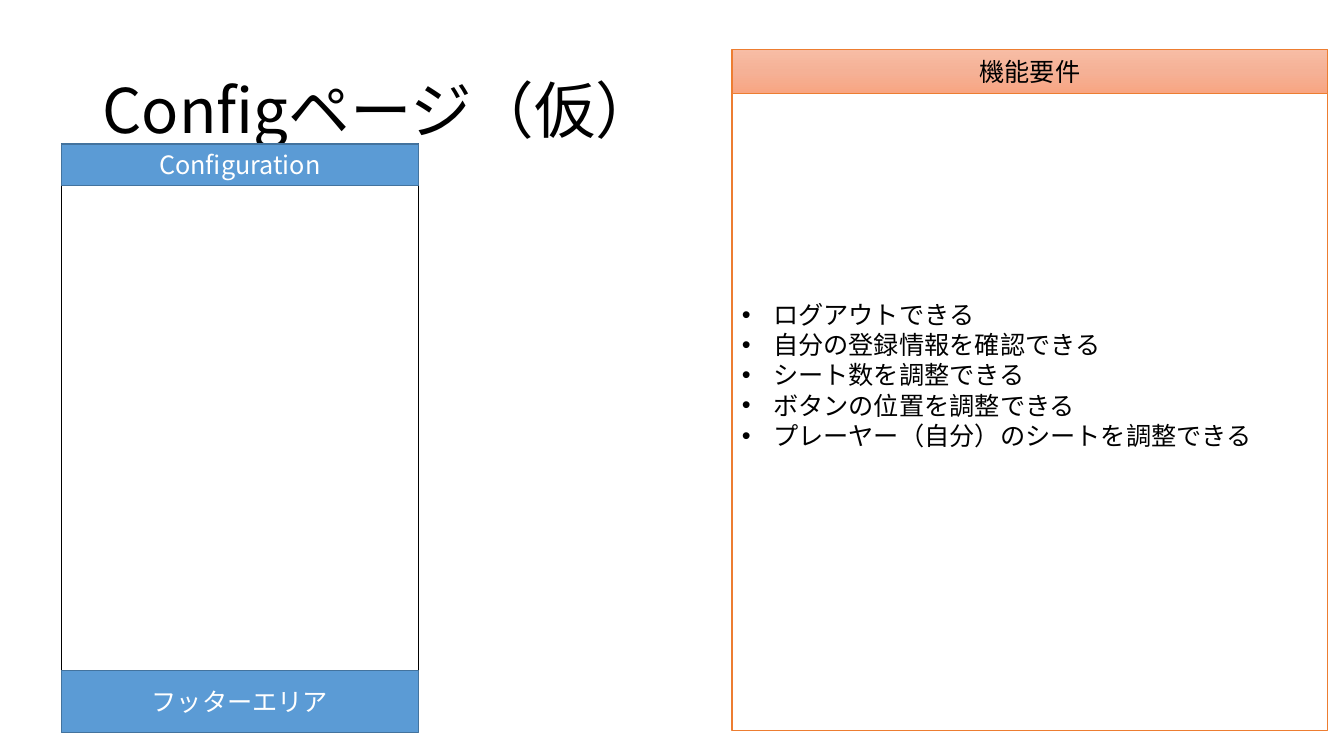
from lxml import etree
from pptx import Presentation
from pptx.dml.color import RGBColor
from pptx.enum.shapes import MSO_SHAPE
from pptx.enum.text import MSO_ANCHOR, PP_ALIGN
from pptx.oxml.ns import qn
from pptx.util import Inches, Pt

RECTANGLE = MSO_SHAPE.RECTANGLE
MIDDLE = MSO_ANCHOR.MIDDLE
LEFT, CENTER = PP_ALIGN.LEFT, PP_ALIGN.CENTER

FONT = "Noto Sans CJK JP"
BLACK, WHITE = "000000", "FFFFFF"
BLUE, DARK_BLUE, ORANGE = "5B9BD5", "43739E", "ED7D31"
HEADING_GRADIENT = [(0, "F7BDA5"), (50, "F5B196"), (100, "F8A582")]
BULLET_INDENT = 0.31
EMPTY_LAST_LINE = 0.3

REQUIREMENTS = [
    "ログアウトできる",
    "自分の登録情報を確認できる",
    "シート数を調整できる",
    "ボタンの位置を調整できる",
    "プレーヤー（自分）のシートを調整できる",
]


def color(value):
    return RGBColor.from_string(value)


def set_attributes(target, values):
    for name, value in values.items():
        setattr(target, name, value)


def write_lines(shape, lines, size=18, text_color=BLACK, align=CENTER, **paragraph_format):
    """Fill a shape's text frame with one paragraph per line."""
    frame = shape.text_frame
    set_attributes(frame, {"word_wrap": True, "vertical_anchor": MIDDLE})
    frame.text = "\n".join(lines)
    for paragraph in frame.paragraphs:
        set_attributes(paragraph, {"alignment": align, **paragraph_format})
        for run in paragraph.runs:
            set_attributes(run.font, {"name": FONT, "size": Pt(size)})
            run.font.color.rgb = color(text_color)
            east_asian = etree.SubElement(run.font._element, qn("a:ea"))
            east_asian.set("typeface", FONT)


def add_box(slide, box, fill, line, line_width=1):
    shape = slide.shapes.add_shape(RECTANGLE, *map(Inches, box))
    shape.shadow.inherit = False
    shape.fill.solid()
    shape.fill.fore_color.rgb = color(fill)
    shape.line.color.rgb = color(line)
    shape.line.width = Pt(line_width)
    return shape


def apply_vertical_gradient(shape, stops):
    """Replace the solid fill with a top-to-bottom gradient."""
    gradient = etree.Element(qn("a:gradFill"), rotWithShape="1")
    stop_list = etree.SubElement(gradient, qn("a:gsLst"))
    for position, value in stops:
        stop = etree.SubElement(stop_list, qn("a:gs"), pos=str(position * 1000))
        etree.SubElement(stop, qn("a:srgbClr"), val=value)
    etree.SubElement(gradient, qn("a:lin"), ang="5400000", scaled="0")
    properties = shape._element.spPr
    properties.replace(properties.find(qn("a:solidFill")), gradient)


def add_bullets(shape):
    indent = Inches(BULLET_INDENT)
    for paragraph in shape.text_frame.paragraphs:
        properties = paragraph._p.get_or_add_pPr()
        properties.set("marL", str(indent))
        properties.set("indent", str(-indent))
        font = etree.SubElement(properties, qn("a:buFont"))
        font.set("typeface", "Arial")
        etree.SubElement(properties, qn("a:buChar")).set("char", "•")


def add_title(slide, box):
    title = slide.shapes.add_textbox(*map(Inches, box))
    write_lines(title, ["Configページ（仮）"], size=44, align=LEFT, line_spacing=0.9)


def add_requirements_panel(slide, box, heading_height):
    left, top, width, height = box
    body = add_box(slide, box, WHITE, ORANGE)
    write_lines(body, REQUIREMENTS, align=LEFT)
    add_bullets(body)
    # Lift the list by the room of one unused line
    body.text_frame.margin_bottom = Inches(0.05 + EMPTY_LAST_LINE)

    heading = add_box(slide, (left, top, width, heading_height), WHITE, ORANGE, 0.5)
    apply_vertical_gradient(heading, HEADING_GRADIENT)
    write_lines(heading, ["機能要件"])


def add_page_mockup(slide, box, header_height, footer_top, footer_height):
    left, top, width, height = box
    add_box(slide, box, WHITE, BLACK)
    bars = [
        ("Configuration", 0, header_height),
        ("フッターエリア", footer_top, footer_height),
    ]
    for label, offset, bar_height in bars:
        bar = add_box(slide, (left, top + offset, width, bar_height), BLUE, DARK_BLUE)
        write_lines(bar, [label], text_color=WHITE)


def build_slide(presentation):
    slide = presentation.slides.add_slide(presentation.slide_layouts[6])
    add_title(slide, (0.92, 0.4, 11.5, 1.45))
    add_page_mockup(slide, (0.61, 1.43, 3.54, 5.46),
                    header_height=0.41, footer_top=5.22, footer_height=0.62)
    add_requirements_panel(slide, (7.26, 0.49, 5.91, 6.76), heading_height=0.44)


presentation = Presentation()
set_attributes(presentation, {"slide_width": Inches(13.33), "slide_height": Inches(7.5)})
build_slide(presentation)
presentation.save("out.pptx")
